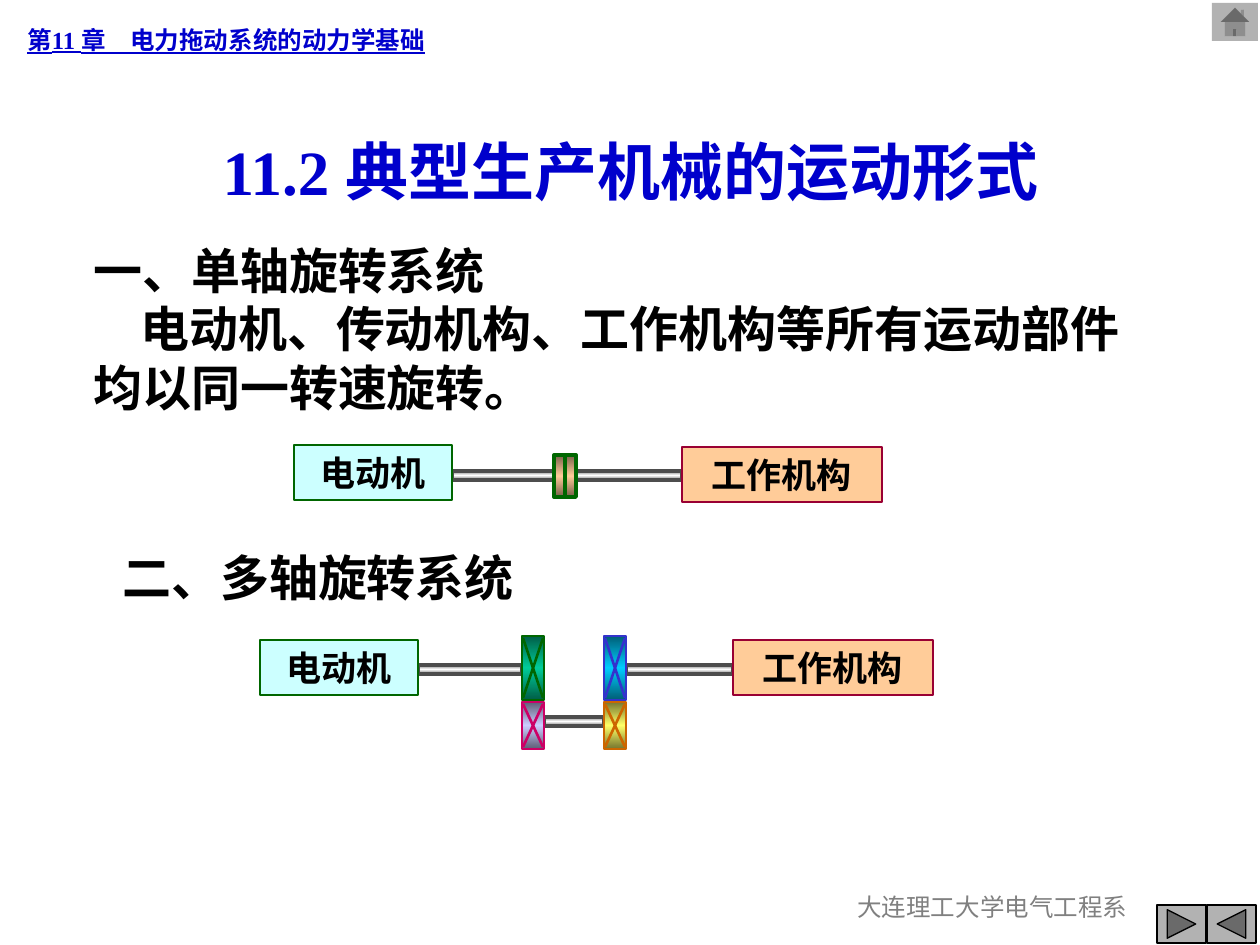
from copy import deepcopy

from lxml import etree
from pptx import Presentation
from pptx.dml.color import RGBColor
from pptx.enum.shapes import MSO_CONNECTOR, MSO_SHAPE
from pptx.enum.text import MSO_ANCHOR, PP_ALIGN
from pptx.oxml.ns import qn
from pptx.util import Emu, Pt

PX = 914400 / 126
FONT = "Times New Roman"
RECT = MSO_SHAPE.RECTANGLE
HOME = MSO_SHAPE.ACTION_BUTTON_HOME
NEXT = MSO_SHAPE.ACTION_BUTTON_FORWARD_OR_NEXT
BACK = MSO_SHAPE.ACTION_BUTTON_BACK_OR_PREVIOUS
LINE = MSO_CONNECTOR.STRAIGHT
LEFT, CENTER = PP_ALIGN.LEFT, PP_ALIGN.CENTER
TOP, MIDDLE = MSO_ANCHOR.TOP, MSO_ANCHOR.MIDDLE

BLACK = RGBColor(0x00, 0x00, 0x00)
WHITE = RGBColor(0xFF, 0xFF, 0xFF)
BLUE = RGBColor(0x00, 0x00, 0xCC)
GRAY = RGBColor(0x80, 0x80, 0x80)
SILVER = RGBColor(0xB2, 0xB2, 0xB2)
STEEL = RGBColor(0x76, 0x76, 0x76)
IRON = RGBColor(0x4D, 0x4D, 0x4D)
GREEN = RGBColor(0x00, 0x66, 0x00)
WINE = RGBColor(0x99, 0x00, 0x33)
ICE = RGBColor(0xCC, 0xFF, 0xFF)
PEACH = RGBColor(0xFF, 0xCC, 0x99)
BROWN = RGBColor(0x76, 0x5E, 0x47)
PINE = RGBColor(0x00, 0x5E, 0x47)
JADE = RGBColor(0x00, 0xCC, 0x99)
TEAL = RGBColor(0x00, 0x5E, 0x76)
CYAN = RGBColor(0x00, 0xCC, 0xFF)
ROYAL = RGBColor(0x33, 0x33, 0xCC)
SLATE = RGBColor(0x5E, 0x5E, 0x76)
LILAC = RGBColor(0xCC, 0xCC, 0xFF)
PINK = RGBColor(0xCC, 0x00, 0x66)
OLIVE = RGBColor(0x76, 0x76, 0x2F)
LEMON = RGBColor(0xFF, 0xFF, 0x66)
RUST = RGBColor(0xCC, 0x66, 0x00)


def px(*nums):
    return [Emu(round(n * PX)) for n in nums]


def write(frame, lines, size, color, align=LEFT, anchor=TOP, bold=True, under=None):
    frame.vertical_anchor = anchor
    for i, line in enumerate(lines):
        para = frame.add_paragraph() if i else frame.paragraphs[0]
        para.text = line
        para.alignment = align
        font = para.font
        font.name, font.size, font.bold = FONT, Pt(size), bold
        font.underline = under
        font.color.rgb = color


def text(slide, box, lines, size, color, wrap=True, **style):
    frame = slide.shapes.add_textbox(*px(*box)).text_frame
    frame.word_wrap = wrap
    write(frame, lines, size, color, **style)
    return frame


def block(slide, box, fill, edge=None, width=1.5, kind=RECT):
    shape = slide.shapes.add_shape(kind, *px(*box))
    shape.shadow.inherit = False
    shape.fill.solid()
    shape.fill.fore_color.rgb = fill
    if edge is None:
        shape.line.fill.background()
    else:
        shape.line.color.rgb = edge
        shape.line.width = Pt(width)
    return shape


def metal(slide, box, dark, light, edge, width=1.5):
    shape = block(slide, box, dark, edge, width)
    fill = shape.fill
    fill.gradient()
    fill.gradient_angle = 90
    first = next(shape._element.iter(qn("a:gs")))
    first.addnext(deepcopy(first))
    for stop, color, place in zip(fill.gradient_stops, (dark, light, dark), (0, 0.5, 1)):
        stop.color.rgb = color
        stop.position = place
    return shape


def rule(slide, ends, color, width=1.5):
    line = slide.shapes.add_connector(LINE, *px(*ends))
    line.line.color.rgb = color
    line.line.width = Pt(width)
    etree.SubElement(line._element.spPr, qn("a:effectLst"))
    return line


def shaft(slide, x, y, w):
    metal(slide, (x, y, w, 9), STEEL, WHITE, IRON, 2.25)


def gear(slide, x, y, h, dark, light, edge):
    w = 22
    metal(slide, (x, y, w, h), dark, light, edge)
    l, r, t, b = x + 1, x + w - 1, y + 2, y + h - 2
    rule(slide, (l, t, r, b), edge)
    rule(slide, (r, t, l, b), edge)


def part(slide, x, y, w, label, fill, edge):
    shape = block(slide, (x, y, w, 55), fill, edge)
    write(shape.text_frame, [label], 20, BLACK, align=CENTER, anchor=MIDDLE)


def motor(slide, x, y):
    part(slide, x, y, 158, "电动机", ICE, GREEN)


def worker(slide, x, y):
    part(slide, x, y, 200, "工作机构", PEACH, WINE)


def single(slide, x, y):
    shaft(slide, x + 158, y + 26, 230)
    joint = metal(slide, (x + 260, y + 10, 22, 42), BROWN, PEACH, GREEN, 2.25)
    seam = rule(slide, (x + 271, y + 10, x + 271, y + 52), GREEN, 2.25)
    seam.begin_connect(joint, 0)
    seam.end_connect(joint, 2)
    motor(slide, x, y)
    worker(slide, x + 388, y + 2)


def multi(slide, x, y):
    near, far, low = x + 262, x + 344, y + 66
    shaft(slide, x + 158, y + 29, 104)
    shaft(slide, far + 22, y + 29, 107)
    shaft(slide, near + 22, y + 81, 60)
    gear(slide, near, y, 64, PINE, JADE, GREEN)
    gear(slide, far, y, 64, TEAL, CYAN, ROYAL)
    gear(slide, near, low, 47, SLATE, LILAC, PINK)
    gear(slide, far, low, 47, OLIVE, LEMON, RUST)
    motor(slide, x, y + 4)
    worker(slide, x + 473, y + 4)


def header(slide, x, y):
    text(slide, (x, y, 505, 43), ["第11 章　电力拖动系统的动力学基础"], 14, BLUE,
         anchor=MIDDLE, under=True)
    block(slide, (x + 1197, y - 15, 46, 38), SILVER, kind=HOME)


def body(slide, x, y):
    text(slide, (x + 14, y, 1071, 88), ["11.2 典型生产机械的运动形式"], 36, BLUE,
         align=CENTER, anchor=MIDDLE)
    lines = ["一、单轴旋转系统", "电动机、传动机构、工作机构等所有运动部件", "均以同一转速旋转。"]
    frame = text(slide, (x, y + 108, 1126, 189), lines, 28, BLACK, wrap=False)
    frame.paragraphs[1]._p.get_or_add_pPr().set("indent", str(px(47)[0]))
    text(slide, (x + 29, y + 415, 441, 72), ["二、多轴旋转系统"], 28, BLACK, wrap=False)


def footer(slide, x, y):
    text(slide, (x, y, 399, 63), ["大连理工大学电气工程系"], 14, GRAY,
         align=CENTER, bold=False)
    for i, kind in enumerate((NEXT, BACK)):
        block(slide, (x + 364 + 50 * i, y + 19, 49, 38), SILVER, BLACK, 0.75, kind)


def main():
    deck = Presentation()
    deck.slide_width, deck.slide_height = px(1260, 945)
    slide = deck.slides.add_slide(deck.slide_layouts[6])
    header(slide, 15, 18)
    body(slide, 81, 126)
    single(slide, 294, 445)
    multi(slide, 260, 636)
    footer(slide, 793, 886)
    deck.save("out.pptx")


if __name__ == "__main__":
    main()
